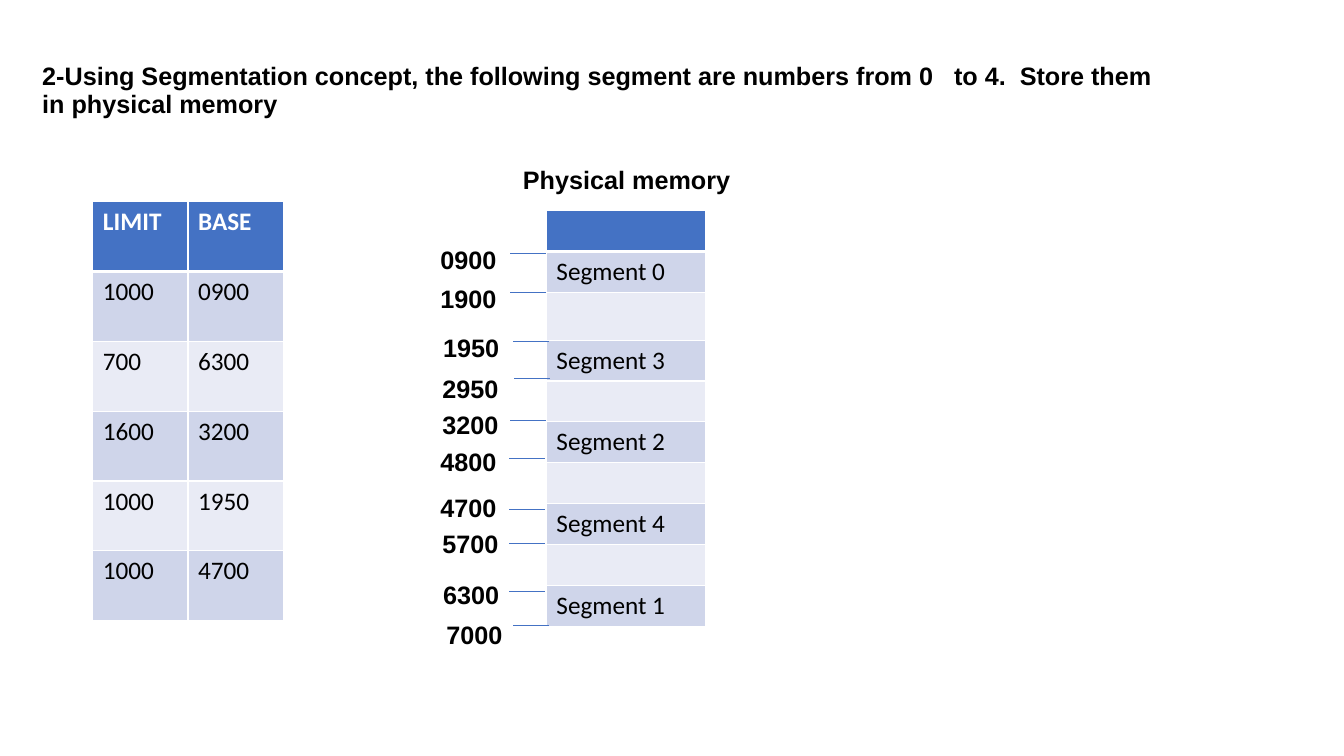
"""Build a slide on placing numbered segments in physical memory."""
from dataclasses import dataclass

from lxml import etree
from pptx import Presentation
from pptx import util as u
from pptx.dml.color import RGBColor
from pptx.enum import shapes, text
from pptx.oxml import ns


@dataclass(frozen=True)
class Theme:
    ink: str = "000000"
    white: str = "FFFFFF"
    blue: str = "4472C4"
    dark: str = "CFD5EA"
    light: str = "E9EBF5"
    head: str = "Arial"
    body: str = "Calibri"
    size: float = 18
    line: float = 0.5
    edge: float = 1
    rule: float = 3


@dataclass(frozen=True)
class Mark:
    label: str
    left: float
    top: float
    tick: float
    level: float


THEME = Theme()
TICK = 0.9
ROW = 1.03
GAP = 1.2
TITLE = ("2-Using Segmentation concept, the following segment are numbers "
         "from 0   to 4.  Store them  in physical memory")
TABLE = [("LIMIT", "BASE"), ("1000", "0900"), ("700", "6300"),
         ("1600", "3200"), ("1000", "1950"), ("1000", "4700")]
MEMORY = [("",), ("Segment 0",), ("",), ("Segment 3",), ("",),
          ("Segment 2",), ("",), ("Segment 4",), ("",), ("Segment 1",)]
MARKS = [
    Mark("0900", 10.85, 6.02, 12.85, 6.38),
    Mark("1900", 10.85, 7.01, 12.85, 7.37),
    Mark("1950", 10.92, 8.26, 12.93, 8.61),
    Mark("2950", 10.9, 9.27, 12.95, 9.53),
    Mark("3200", 10.9, 10.19, 12.85, 10.59),
    Mark("4800", 10.85, 11.13, 12.83, 11.56),
    Mark("4700", 10.85, 12.29, 12.83, 12.83),
    Mark("5700", 10.9, 13.18, 12.83, 13.69),
    Mark("6300", 10.92, 14.48, 12.83, 14.91),
    Mark("7000", 11, 15.49, 12.93, 15.75),
]


def write(frame, words: str, *, font: str = THEME.head, color: str = THEME.ink,
          bold: bool = True, space: float | None = None) -> None:
    """Put formatted words in the first paragraph of a frame."""
    par = frame.paragraphs[0]
    par.alignment = text.PP_ALIGN.LEFT
    par.line_spacing = space
    par.font.size = u.Pt(THEME.size)
    if not words:
        return
    run = par.add_run()
    run.text = words
    run.font.name = font
    run.font.size = u.Pt(THEME.size)
    run.font.bold = bold
    run.font.color.rgb = RGBColor.from_string(color)


def label(slide, words: str, left: float, top: float, width: float) -> None:
    """Add an unwrapped bold label."""
    box = slide.shapes.add_textbox(u.Cm(left), u.Cm(top), u.Cm(width), u.Cm(1.02))
    box.text_frame.word_wrap = False
    box.text_frame.auto_size = text.MSO_AUTO_SIZE.SHAPE_TO_FIT_TEXT
    write(box.text_frame, words)


def tick(slide, left: float, level: float) -> None:
    """Add a thin level line without a shadow."""
    line = slide.shapes.add_connector(
        shapes.MSO_CONNECTOR.STRAIGHT, u.Cm(left + TICK), u.Cm(level),
        u.Cm(left), u.Cm(level))
    line.line.color.rgb = RGBColor.from_string(THEME.blue)
    line.line.width = u.Pt(THEME.line)
    etree.SubElement(line._element.spPr, ns.qn("a:effectLst"))


def border(cell, first: bool, below: bool) -> None:
    """Give a cell white edges, with a heavy rule below the header."""
    props = cell._tc.get_or_add_tcPr()
    sides = {"L": THEME.edge, "R": THEME.edge, "T": THEME.edge,
             "B": THEME.rule if first else THEME.edge}
    if below:
        sides["T"] = THEME.rule
    for place, (side, width) in enumerate(sides.items()):
        edge = etree.Element(ns.qn(f"a:ln{side}"), w=str(u.Pt(width)))
        fill = etree.SubElement(edge, ns.qn("a:solidFill"))
        etree.SubElement(fill, ns.qn("a:srgbClr"), val=THEME.white)
        props.insert(place, edge)


def grid(slide, rows: list[tuple[str, ...]], left: float, top: float,
         width: float, heights: list[float]) -> None:
    """Add a banded table with a blue header."""
    count = len(rows[0])
    table = slide.shapes.add_table(
        len(rows), count, u.Cm(left), u.Cm(top),
        u.Cm(width * count), u.Cm(sum(heights))).table
    for col in table.columns:
        col.width = u.Cm(width)
    for i, (row, height) in enumerate(zip(rows, heights)):
        table.rows[i].height = u.Cm(height)
        first = i == 0
        shade = THEME.blue if first else THEME.dark if i % 2 else THEME.light
        for j, words in enumerate(row):
            cell = table.cell(i, j)
            cell.fill.solid()
            cell.fill.fore_color.rgb = RGBColor.from_string(shade)
            border(cell, first, i == 1)
            write(cell.text_frame, words, font=THEME.body, bold=first,
                  color=THEME.white if first else THEME.ink)


def main() -> None:
    """Draw the slide and save it."""
    deck = Presentation()
    deck.slide_width, deck.slide_height = u.Cm(33.87), u.Cm(19.05)
    slide = deck.slides.add_slide(deck.slide_layouts[5])
    title = slide.shapes.title
    title.left, title.top = u.Cm(0.81), u.Cm(0.46)
    title.width, title.height = u.Cm(29.21), u.Cm(3.68)
    title.text_frame.word_wrap = True
    title.text_frame.auto_size = text.MSO_AUTO_SIZE.NONE
    title.text_frame.vertical_anchor = text.MSO_ANCHOR.MIDDLE
    write(title.text_frame, TITLE, space=0.9)

    grid(slide, TABLE, 2.34, 5.08, 2.4, [1.76] * len(TABLE))
    grid(slide, MEMORY, 13.77, 5.31, 4.01,
         [GAP if i == 2 else ROW for i in range(len(MEMORY))])
    for mark in MARKS:
        tick(slide, mark.tick, mark.level)
        label(slide, mark.label, mark.left, mark.top, 1.93)
    label(slide, "Physical memory", 12.93, 4.01, 5.79)
    deck.save("out.pptx")


if __name__ == "__main__":
    main()
